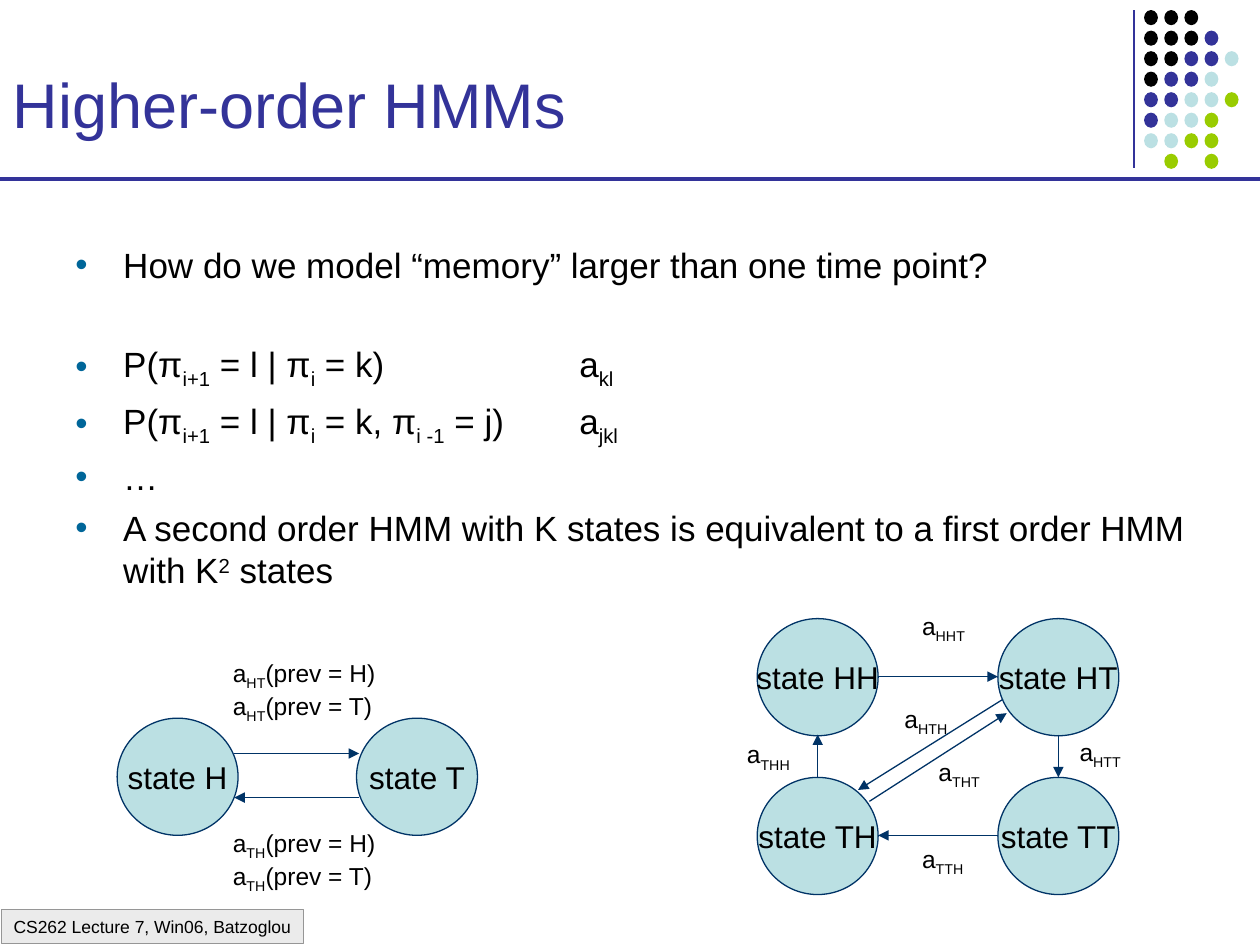
from typing import NamedTuple

from lxml.etree import SubElement
from pptx import Presentation
from pptx.dml.color import RGBColor
from pptx.enum.shapes import MSO_CONNECTOR as Line, MSO_SHAPE as Shape
from pptx.enum.text import MSO_ANCHOR as Anchor, MSO_AUTO_SIZE as AutoSize, PP_ALIGN as Align
from pptx.oxml.ns import qn
from pptx.util import Inches, Pt

BLACK = RGBColor(0x00, 0x00, 0x00)
INDIGO = RGBColor(0x33, 0x33, 0x99)
PALE = RGBColor(0xBB, 0xE0, 0xE3)
LIME = RGBColor(0x99, 0xCC, 0x00)
NAVY = RGBColor(0x00, 0x33, 0x66)
TEAL = RGBColor(0x00, 0x66, 0x99)
SILVER = RGBColor(0xC0, 0xC0, 0xC0)
GRAY = RGBColor(0x96, 0x96, 0x96)
FONT = "Arial"

SUBSCRIPT, SUPERSCRIPT = "-25000", "30000"
STATE_W, STATE_H = 0.96, 0.93


class State(NamedTuple):
    name: str
    left: float
    top: float


class Arrow(NamedTuple):
    x1: float
    y1: float
    x2: float
    y2: float


class Label(NamedTuple):
    left: float
    top: float
    width: float
    lines: tuple[str, ...]


class Bullet(NamedTuple):
    text: str
    before: float = 5


DOT_COLORS = {"K": BLACK, "I": INDIGO, "P": PALE, "L": LIME}
DOT_ROWS = ("KKK", "KKKI", "KKIIP", "KIIP", "IIPPL", "IPPL", "PPLL", " L L")

# In texts, _x_ is a subscript and ^x^ a superscript
BULLETS = (
    Bullet("How do we model “memory” larger than one time point?"),
    Bullet("P(π_i+1_ = l | π_i_ = k)\t\ta_kl_", before=33),
    Bullet("P(π_i+1_ = l | π_i_ = k, π_i -1_ = j)\ta_jkl_"),
    Bullet("…"),
    Bullet("A second order HMM with K states is equivalent to a first order HMM with K^2^ states"),
)

STATES = (
    State("state H", 0.93, 5.7), State("state T", 2.83, 5.7),
    State("state HH", 6.01, 4.91), State("state HT", 7.92, 4.91),
    State("state TH", 6.01, 6.17), State("state TT", 7.92, 6.17),
)

ARROWS = (
    Arrow(1.86, 5.98, 2.85, 5.98), Arrow(2.85, 6.33, 1.86, 6.33),
    Arrow(8.4, 5.83, 8.4, 6.17), Arrow(6.97, 5.37, 7.92, 5.37),
    Arrow(7.96, 5.55, 6.81, 6.27), Arrow(6.9, 6.36, 7.99, 5.66),
    Arrow(6.49, 6.17, 6.49, 5.83), Arrow(7.92, 6.63, 6.97, 6.63),
)

LABELS = (
    Label(1.75, 5.17, 1.33, ("a_HT_(prev = H)", "a_HT_(prev = T)")),
    Label(1.75, 6.52, 1.33, ("a_TH_(prev = H)", "a_TH_(prev = T)")),
    Label(7.22, 4.8, 0.54, ("a_HHT_",)), Label(7.22, 6.65, 0.53, ("a_TTH_",)),
    Label(8.47, 5.8, 0.53, ("a_HTT_",)), Label(5.83, 5.82, 0.54, ("a_THH_",)),
    Label(7.35, 5.96, 0.53, ("a_THT_",)), Label(7.08, 5.54, 0.54, ("a_HTH_",)),
)


def write(para, text: str, size: float, color: RGBColor = BLACK) -> None:
    """Fill a paragraph, turning the marks into raised and lowered runs."""
    for i, part in enumerate(text.split("_")):
        for j, piece in enumerate(part.split("^")):
            if not piece:
                continue
            span = para.add_run()
            span.text = piece
            span.font.name, span.font.size = FONT, Pt(size)
            span.font.color.rgb = color
            if i % 2 or j % 2:
                span.font._element.set("baseline", SUBSCRIPT if i % 2 else SUPERSCRIPT)


def add_bullet_format(para) -> None:
    """Give a paragraph a hanging round bullet and a tab stop at every inch."""
    props = para._p.get_or_add_pPr()
    props.set("marL", str(Inches(0.38)))
    props.set("indent", str(-Inches(0.38)))
    color = SubElement(props, qn("a:buClr"))
    SubElement(color, qn("a:srgbClr"), val=str(TEAL))
    SubElement(props, qn("a:buFont"), typeface=FONT)
    SubElement(props, qn("a:buChar"), char="•")
    tabs = SubElement(props, qn("a:tabLst"))
    for inch in range(1, 9):
        SubElement(tabs, qn("a:tab"), pos=str(Inches(inch)), algn="l")


def add_line(page, ends: Arrow, color: RGBColor, width: float, arrowhead: bool = False) -> None:
    line = page.shapes.add_connector(Line.STRAIGHT, *(Inches(value) for value in ends))
    line.line.color.rgb, line.line.width = color, Pt(width)
    SubElement(line._element.spPr, qn("a:effectLst"))
    if arrowhead:
        SubElement(line.line._get_or_add_ln(), qn("a:tailEnd"), type="triangle")


def add_filled(page, kind, left: float, top: float, width: float, height: float,
               fill: RGBColor, outline: RGBColor | None = None):
    shape = page.shapes.add_shape(kind, Inches(left), Inches(top), Inches(width), Inches(height))
    shape.shadow.inherit = False
    shape.fill.solid()
    shape.fill.fore_color.rgb = fill
    if outline is None:
        shape.line.fill.background()
    else:
        shape.line.color.rgb, shape.line.width = outline, Pt(0.75)
    return shape


def add_state(page, state: State) -> None:
    circle = add_filled(page, Shape.OVAL, state.left, state.top, STATE_W, STATE_H, PALE, NAVY)
    frame = circle.text_frame
    frame.word_wrap, frame.vertical_anchor = False, Anchor.MIDDLE
    frame.paragraphs[0].alignment = Align.CENTER
    write(frame.paragraphs[0], state.name, 18)


def add_label(page, label: Label) -> None:
    height = 0.1 + 0.27 * len(label.lines)
    box = page.shapes.add_textbox(Inches(label.left), Inches(label.top),
                                  Inches(label.width), Inches(height))
    frame = box.text_frame
    frame.word_wrap = False
    for index, line in enumerate(label.lines):
        para = frame.add_paragraph() if index else frame.paragraphs[0]
        write(para, line, 14)


def add_bullets(page) -> None:
    box = page.shapes.add_textbox(Inches(0.5), Inches(1.88), Inches(9.17), Inches(3.26))
    frame = box.text_frame
    frame.word_wrap = True
    for index, bullet in enumerate(BULLETS):
        para = frame.add_paragraph() if index else frame.paragraphs[0]
        para.space_before = Pt(bullet.before)
        add_bullet_format(para)
        write(para, bullet.text, 20)


def add_decoration(page) -> None:
    add_line(page, Arrow(9, 0.08, 9, 1.33), INDIGO, 1.5)
    for row, pattern in enumerate(DOT_ROWS):
        for column, key in enumerate(pattern):
            if key in DOT_COLORS:
                add_filled(page, Shape.OVAL, 9.08 + 0.16 * column, 0.08 + 1.14 * row / 7,
                           0.11, 0.12, DOT_COLORS[key])
    add_line(page, Arrow(0, 1.42, 10, 1.42), INDIGO, 2.25)


def add_footer(page) -> None:
    box = add_filled(page, Shape.RECTANGLE, 0.01, 7.22, 2.4, 0.27, SILVER, GRAY)
    SubElement(box._element.spPr.find(f"{qn('a:solidFill')}/{qn('a:srgbClr')}"),
               qn("a:alpha"), val="30000")
    frame = box.text_frame
    frame.word_wrap, frame.vertical_anchor = False, Anchor.TOP
    frame.paragraphs[0].alignment = Align.LEFT
    write(frame.paragraphs[0], "CS262 Lecture 7, Win06, Batzoglou", 10)


def add_title(page) -> None:
    title = page.shapes.title
    title.left, title.top = Inches(0), Inches(0.17)
    title.width, title.height = Inches(8.92), Inches(1)
    frame = title.text_frame
    frame.auto_size, frame.vertical_anchor = AutoSize.NONE, Anchor.BOTTOM
    frame.paragraphs[0].alignment = Align.LEFT
    write(frame.paragraphs[0], "Higher-order HMMs", 36, INDIGO)


def main() -> None:
    deck = Presentation()
    deck.slide_width, deck.slide_height = Inches(10), Inches(7.5)
    page = deck.slides.add_slide(deck.slide_layouts[5])

    # Frame of the slide
    add_decoration(page)
    add_footer(page)
    add_title(page)
    add_bullets(page)

    # State diagrams
    for state in STATES:
        add_state(page, state)
    for arrow in ARROWS:
        add_line(page, arrow, NAVY, 0.75, arrowhead=True)
    for label in LABELS:
        add_label(page, label)

    deck.save("out.pptx")


if __name__ == "__main__":
    main()
